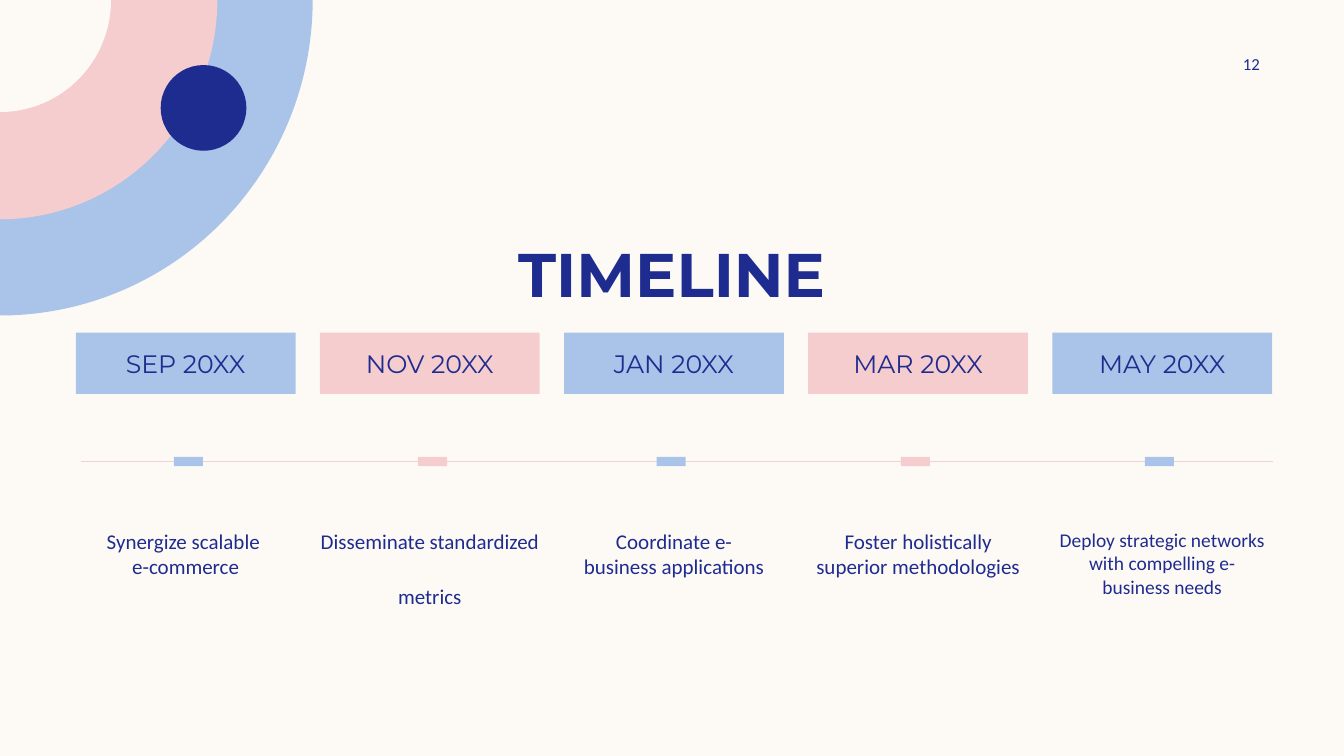
import dataclasses

import pptx
import pptx.dml.color
import pptx.enum.shapes
import pptx.enum.text
import pptx.oxml
import pptx.util

Cm = pptx.util.Cm
Shape = pptx.enum.shapes.MSO_SHAPE
Align = pptx.enum.text.PP_ALIGN
Anchor = pptx.enum.text.MSO_ANCHOR


@dataclasses.dataclass(frozen=True)
class Theme:
    cream: str = "FDFAF6"
    blue: str = "AAC3E8"
    pink: str = "F5CDCE"
    navy: str = "1F2C8F"
    rule: str = "F2D1D1"
    heading_font: str = "Montserrat"
    body_font: str = "Calibri"
    title_size: float = 44
    date_size: float = 18
    body_size: float = 15
    small_size: float = 13.9
    number_size: float = 12


THEME = Theme()

# Date, description ("\v" breaks a line), description size,
# shift of the marker from the column centre in cm
MILESTONES = [
    ("SEP 20XX", "Synergize scalable \ve-commerce", THEME.body_size, 0.07),
    ("NOV 20XX", "Disseminate standardized \vmetrics", THEME.body_size, 0.07),
    ("JAN 20XX", "Coordinate e-\vbusiness applications", THEME.body_size, -0.07),
    ("MAR 20XX", "Foster holistically superior methodologies", THEME.body_size, -0.07),
    ("MAY 20XX", "Deploy strategic networks with compelling e-\vbusiness needs",
     THEME.small_size, -0.07),
]


def colour(value):
    return pptx.dml.color.RGBColor.from_string(value)


def add_block(page, kind, box, fill):
    shape = page.shapes.add_shape(kind, *map(Cm, box))
    shape.shadow.inherit = False
    shape.fill.solid()
    shape.fill.fore_color.rgb = colour(fill)
    shape.line.fill.background()
    return shape


def write(shape, text, font, size, bold=False, align=Align.CENTER,
          anchor=Anchor.MIDDLE, insets=(0, 0, 0, 0)):
    frame = shape.text_frame
    sides = ("margin_left", "margin_top", "margin_right", "margin_bottom")
    frame_format = {"word_wrap": True, "vertical_anchor": anchor}
    frame_format.update(zip(sides, map(Cm, insets)))
    for name, value in frame_format.items():
        setattr(frame, name, value)
    frame.text = text
    para = frame.paragraphs[0]
    para.alignment = align
    font_format = {"name": font, "size": pptx.util.Pt(size), "bold": bold}
    for span in para.runs:
        for name, value in font_format.items():
            setattr(span.font, name, value)
        span.font.color.rgb = colour(THEME.navy)


def add_text(page, box, *content, **layout):
    write(page.shapes.add_textbox(*map(Cm, box)), *content, **layout)


def add_corner_rings(page, box):
    left, top, width, height = box
    # Quarter discs share the top left corner, largest at the back
    for share, fill in ((1, THEME.blue), (0.695, THEME.pink), (0.355, THEME.cream)):
        wedge = add_block(page, Shape.PIE_WEDGE,
                          (left, top, width * share, height * share), fill)
        wedge.rotation = 180
    # Dot between the rings
    add_block(page, Shape.OVAL, (left + 4.05, top + 1.64, 2.16, 2.16), THEME.navy)


def add_header(page, box):
    left, top, width, height = box
    add_text(page, box, "TIMELINE", THEME.heading_font, THEME.title_size, bold=True,
             anchor=Anchor.BOTTOM, insets=(0.25, 0.13, 0.25, 0.13))
    # Page number, flush with the right edge
    add_text(page, (left + width - 2.75, top - 0.76, 2.75, 0.69), "12",
             THEME.body_font, THEME.number_size, align=Align.RIGHT,
             insets=(0.25, 0.13, 0, 0.13))


def add_axis(page, left, right, height):
    axis = page.shapes.add_connector(pptx.enum.shapes.MSO_CONNECTOR.STRAIGHT,
                                     Cm(left), Cm(height), Cm(right), Cm(height))
    axis.line.color.rgb = colour(THEME.rule)
    axis.line.width = pptx.util.Pt(1)
    properties = axis._element.spPr
    properties.append(pptx.oxml.parse_xml(
        '<a:effectLst xmlns:a="http://schemas.openxmlformats.org/drawingml/2006/main"/>'))


def add_timeline(page, box):
    left, top, width, height = box
    column_width, marker_width, marker_height = 5.54, 0.73, 0.23
    pitch = (width - column_width) / (len(MILESTONES) - 1)
    axis_height = top + 3.25
    add_axis(page, left + 0.14, left + width + 0.02, axis_height)
    for index, (date, description, size, shift) in enumerate(MILESTONES):
        column = left + index * pitch
        fill = THEME.pink if index % 2 else THEME.blue
        # Date
        label = add_block(page, Shape.RECTANGLE, (column, top, column_width, 1.55), fill)
        write(label, date, THEME.heading_font, THEME.date_size)
        # Marker on the axis
        marker_left = column + (column_width - marker_width) / 2 + shift
        add_block(page, Shape.RECTANGLE,
                  (marker_left, axis_height - marker_height / 2, marker_width, marker_height),
                  fill)
        # Description
        add_text(page, (column, top + height - 2.21, column_width, 2.21), description,
                 THEME.body_font, size, anchor=Anchor.TOP, insets=(0, 0.13, 0, 0.13))


def main():
    deck = pptx.Presentation()
    deck.slide_width, deck.slide_height = Cm(33.87), Cm(19.05)
    page = deck.slides.add_slide(deck.slide_layouts[6])
    page.background.fill.solid()
    page.background.fill.fore_color.rgb = colour(THEME.cream)
    add_corner_rings(page, (0, 0, 7.88, 7.95))
    add_header(page, (2.11, 2.03, 29.64, 5.92))
    add_timeline(page, (1.91, 8.38, 30.15, 7.01))
    deck.save("out.pptx")


if __name__ == "__main__":
    main()
